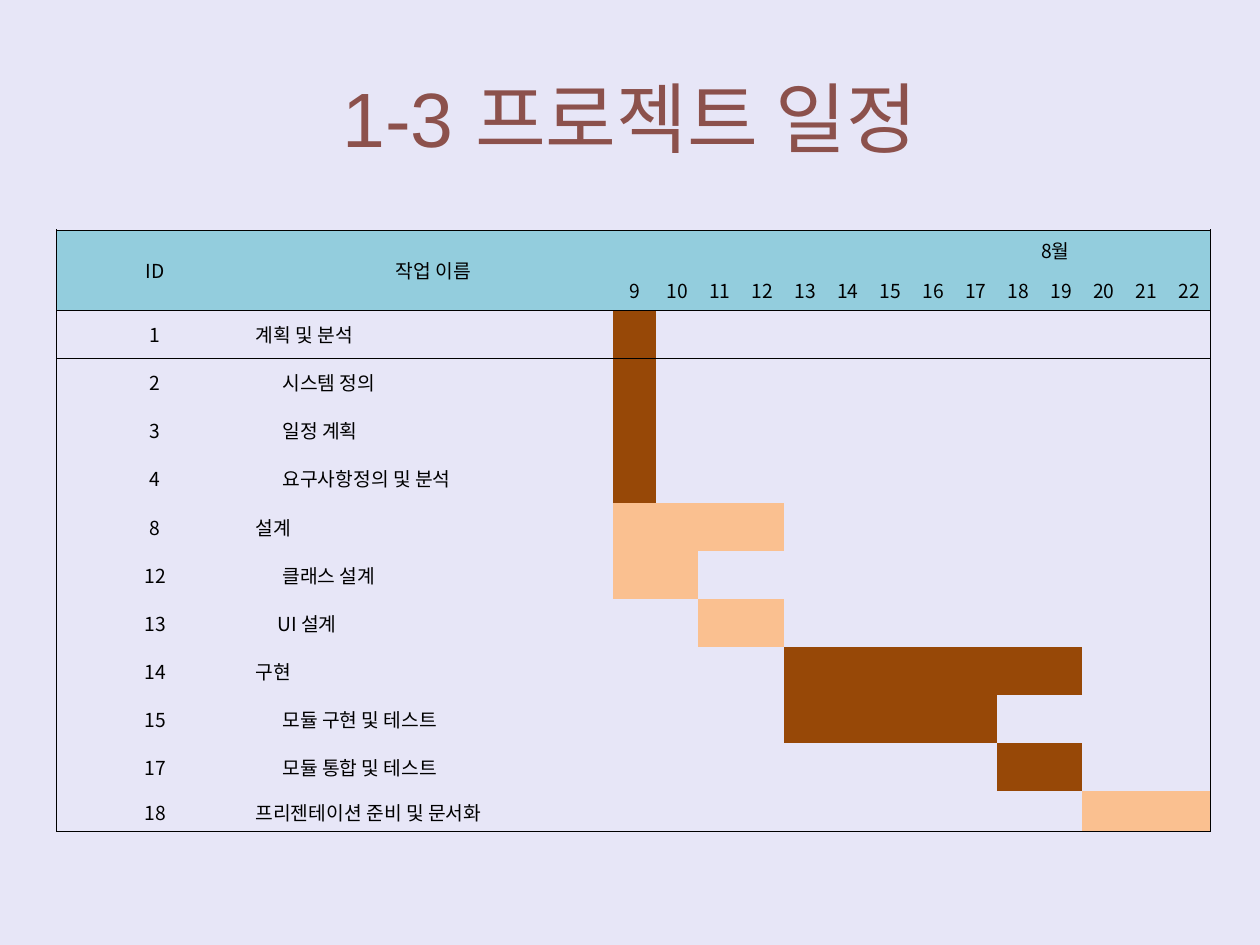
from lxml.etree import SubElement
from pptx import Presentation
from pptx.dml.color import RGBColor
from pptx.enum.text import MSO_ANCHOR, PP_ALIGN
from pptx.oxml.ns import qn
from pptx.util import Cm, Pt

COLORS = {
    "background": "E7E6F7",
    "title": "8C514C",
    "header": "93CDDD",
    "text": "000000",
    "dark": "974807",
    "light": "FAC090",
}
NO_STYLE = "{2D5ABB26-0587-4C30-8999-92F81FD0307C}"
TABLE_FONT = "Noto Sans CJK KR"
FIRST_DAY, LAST_DAY = 9, 22
TASKS = [
    ("1", "계획 및 분석", 0, 9, 9, "dark"),
    ("2", "시스템 정의", 0.54, 9, 9, "dark"),
    ("3", "일정 계획", 0.54, 9, 9, "dark"),
    ("4", "요구사항정의 및 분석", 0.54, 9, 9, "dark"),
    ("8", "설계", 0, 9, 12, "light"),
    ("12", "클래스 설계", 0.54, 9, 10, "light"),
    ("13", "UI 설계", 0.44, 11, 12, "light"),
    ("14", "구현", 0, 13, 19, "dark"),
    ("15", "모듈 구현 및 테스트", 0.54, 13, 17, "dark"),
    ("17", "모듈 통합 및 테스트", 0.54, 18, 19, "dark"),
    ("18", "프리젠테이션 준비 및 문서화", 0, 20, 22, "light"),
]


def write(frame, text, align, size, font, color):
    paragraph = frame.paragraphs[0]
    paragraph.alignment = align
    run = paragraph.add_run()
    run.text = text
    for name, value in {"size": Pt(size), "name": font}.items():
        setattr(run.font, name, value)
    run.font.color.rgb = RGBColor.from_string(COLORS[color])
    return run


def fill_cell(cell, text, align=PP_ALIGN.CENTER, indent=0):
    layout = {
        "margin_left": Cm(0.03 + indent),
        "margin_right": Cm(0.03),
        "margin_top": Cm(0.13),
        "margin_bottom": Cm(0.13),
        "vertical_anchor": MSO_ANCHOR.MIDDLE,
    }
    for name, value in layout.items():
        setattr(cell, name, value)
    run = write(cell.text_frame, text, align, 11, TABLE_FONT, "text")
    SubElement(run.font._element, qn("a:ea"), typeface=TABLE_FONT)


prs = Presentation()
prs.slide_width, prs.slide_height = Cm(25.4), Cm(19.05)
slide = prs.slides.add_slide(prs.slide_layouts[6])
slide.background.fill.solid()
slide.background.fill.fore_color.rgb = RGBColor.from_string(COLORS["background"])

title = slide.shapes.add_textbox(Cm(1.27), Cm(0.76), Cm(22.86), Cm(3.18)).text_frame
title.word_wrap = True
title.vertical_anchor = MSO_ANCHOR.MIDDLE
write(title, "1-3 프로젝트 일정", PP_ALIGN.CENTER, 44, "Arial", "title")

days = range(FIRST_DAY, LAST_DAY + 1)
widths = [3.98, 7.24] + [0.86] * len(days)
heights = [0.81] * 2 + [0.97] * (len(TASKS) - 1) + [0.81]
schedule_frame = slide.shapes.add_table(
    len(heights), len(widths), Cm(1.14), Cm(4.63), Cm(sum(widths)), Cm(sum(heights))
)
schedule = schedule_frame.table
schedule.first_row = schedule.horz_banding = False
schedule_frame.element.find(".//" + qn("a:tableStyleId")).text = NO_STYLE
for column, width in zip(schedule.columns, widths):
    column.width = Cm(width)
for row, height in zip(schedule.rows, heights):
    row.height = Cm(height)

last_row, last_column = len(heights) - 1, len(widths) - 1
for r in range(len(heights)):
    for c in range(len(widths)):
        cell = schedule.cell(r, c)
        cell.margin_left = cell.margin_right = cell.margin_top = cell.margin_bottom = 0
        edges = {
            "a:lnL": c == 0,
            "a:lnR": c == last_column,
            "a:lnT": r in (0, 2),
            "a:lnB": r in (1, last_row) or (r == 0 and c < 2),
        }
        for tag, drawn in edges.items():
            if drawn:
                border = SubElement(cell._tc.get_or_add_tcPr(), qn(tag), w=str(Pt(0.23)))
                solid = SubElement(border, qn("a:solidFill"))
                SubElement(solid, qn("a:srgbClr"), val=COLORS["text"])
        if r < 2:
            fill = "header"
        else:
            start, end, bar = TASKS[r - 2][3:]
            fill = bar if start <= FIRST_DAY + c - 2 <= end else None
        if fill:
            cell.fill.solid()
            cell.fill.fore_color.rgb = RGBColor.from_string(COLORS[fill])
        else:
            cell.fill.background()

for c, heading in enumerate(["ID", "작업 이름"]):
    schedule.cell(0, c).merge(schedule.cell(1, c))
    fill_cell(schedule.cell(0, c), heading)
fill_cell(schedule.cell(0, 12), "8월", PP_ALIGN.LEFT)
for c, day in enumerate(days, 2):
    fill_cell(schedule.cell(1, c), str(day))
for r, (task_id, task, indent, *_) in enumerate(TASKS, 2):
    fill_cell(schedule.cell(r, 0), task_id)
    fill_cell(schedule.cell(r, 1), task, PP_ALIGN.LEFT, indent)

prs.save("out.pptx")
